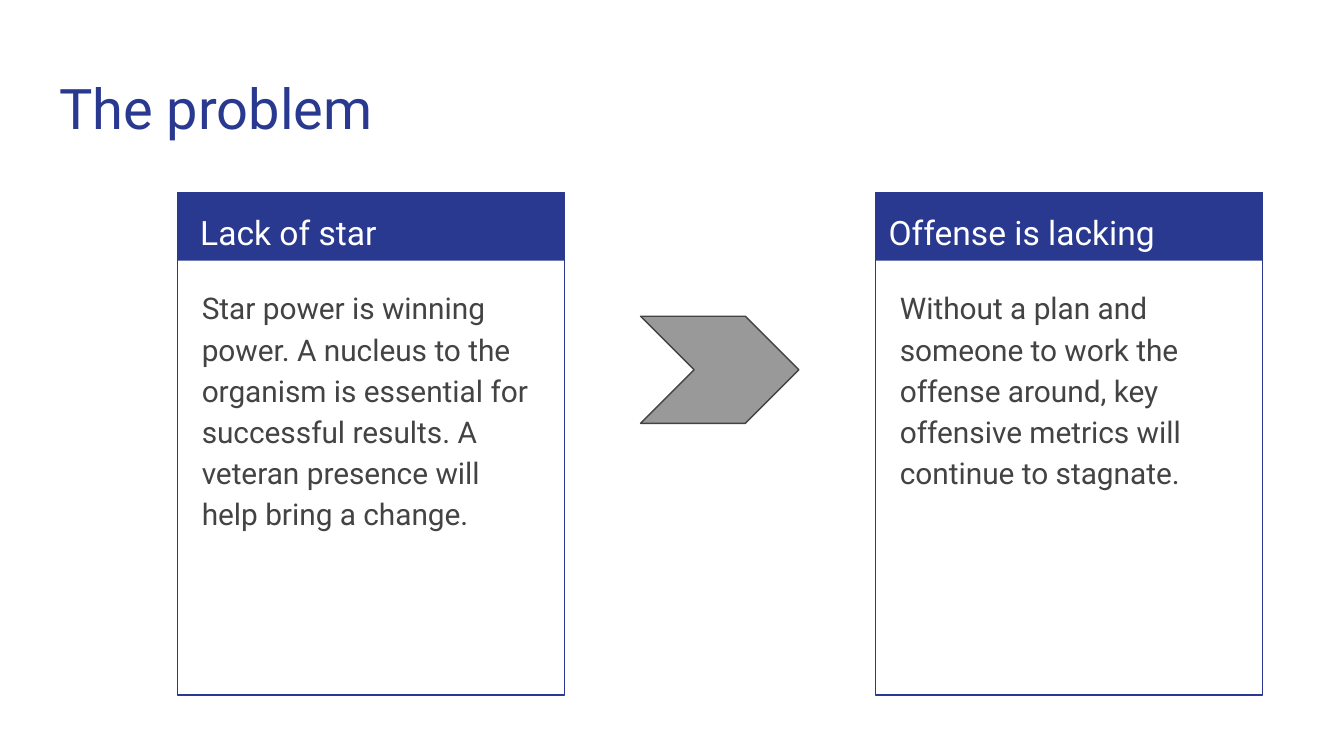
from pptx import Presentation
from pptx.dml.color import RGBColor
from pptx.enum.shapes import MSO_SHAPE
from pptx.enum.text import MSO_ANCHOR, MSO_AUTO_SIZE, PP_ALIGN
from pptx.util import Pt

FONT = "Roboto"
BLUE, WHITE, GRAY, DARK = "2A3990", "FFFFFF", "999999", "434343"
CARD_TOP, CARD_WIDTH, CARD_HEIGHT, HEADER_HEIGHT = 103, 207.4, 269.3, 36.7
INSET = 7.2


def color(value):
    return RGBColor.from_string(value)


def write_text(shape, text, size, text_color, line_spacing=1.0, space_after=0):
    frame = shape.text_frame
    frame.word_wrap = True
    frame.auto_size = MSO_AUTO_SIZE.NONE
    frame.vertical_anchor = MSO_ANCHOR.TOP
    frame.margin_left = frame.margin_right = Pt(INSET)
    frame.margin_top = frame.margin_bottom = Pt(INSET)
    paragraph = frame.paragraphs[0]
    paragraph.alignment = PP_ALIGN.LEFT
    paragraph.line_spacing = line_spacing
    paragraph.space_before = Pt(0)
    paragraph.space_after = Pt(space_after)
    run = paragraph.add_run()
    run.text = text
    run.font.name = FONT
    run.font.size = Pt(size)
    run.font.color.rgb = color(text_color)


def add_title(slide, text):
    title = slide.shapes.title
    title.left, title.top = Pt(24.5), Pt(32.4)
    title.width, title.height = Pt(671), Pt(47.5)
    write_text(title, text, 30, BLUE)


def add_text(slide, left, top, width, height, text, size, text_color, space_after=0):
    box = slide.shapes.add_textbox(Pt(left), Pt(top), Pt(width), Pt(height))
    write_text(box, text, size, text_color, 1.15, space_after)


def add_block(shapes, kind, left, top, width, height, fill=None, line=None):
    shape = shapes.add_shape(kind, Pt(left), Pt(top), Pt(width), Pt(height))
    shape.shadow.inherit = False
    if fill:
        shape.fill.solid()
        shape.fill.fore_color.rgb = color(fill)
    else:
        shape.fill.background()
    if line:
        shape.line.color.rgb = color(line)
        shape.line.width = Pt(0.75)
    else:
        shape.line.fill.background()
    return shape


def add_card(slide, left, heading, heading_left, body):
    # Filled header and outlined frame
    shapes = slide.shapes.add_group_shape().shapes
    add_block(shapes, MSO_SHAPE.RECTANGLE, left, CARD_TOP, CARD_WIDTH,
              HEADER_HEIGHT, fill=BLUE)
    add_block(shapes, MSO_SHAPE.RECTANGLE, left, CARD_TOP, CARD_WIDTH,
              CARD_HEIGHT, line=BLUE)
    # Heading and body text
    add_text(slide, heading_left, CARD_TOP, 196.6, 36, heading, 18, WHITE)
    add_text(slide, left + 6, 145.4, 195.4, 220.3, body, 16, DARK, space_after=16)


def main():
    presentation = Presentation()
    presentation.slide_width, presentation.slide_height = Pt(720), Pt(405)
    slide = presentation.slides.add_slide(presentation.slide_layouts[5])
    slide.background.fill.solid()
    slide.background.fill.fore_color.rgb = color(WHITE)

    add_title(slide, "The problem")

    # Cause and effect cards
    add_card(slide, 95, "Lack of star", 100.2,
             "Star power is winning power. A nucleus to the organism is essential "
             "for successful results. A veteran presence will help bring a change.")
    add_card(slide, 469, "Offense is lacking", 469,
             "Without a plan and someone to work the offense around, key offensive "
             "metrics will continue to stagnate.")

    # Chevron from cause to effect
    chevron = add_block(slide.shapes, MSO_SHAPE.CHEVRON, 343.2, 169.4, 84.8, 57.4,
                        fill=GRAY, line=DARK)
    chevron.adjustments[0] = 0.5

    presentation.save("out.pptx")


if __name__ == "__main__":
    main()
